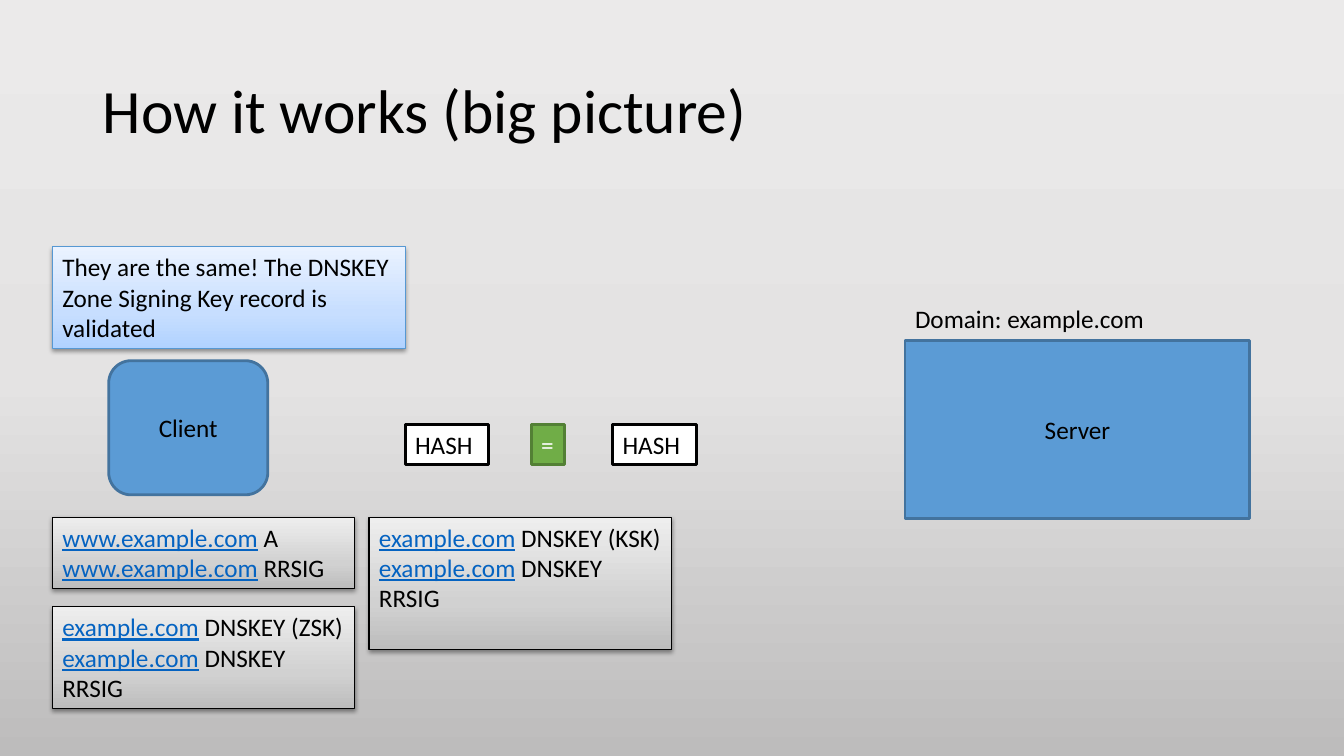
import copy
import pptx
import pptx.dml.color
import pptx.enum.shapes
import pptx.enum.text
import pptx.oxml
import pptx.oxml.ns
import pptx.util

Cm = pptx.util.Cm
Pt = pptx.util.Pt
SHAPE = pptx.enum.shapes.MSO_SHAPE
ALIGN = pptx.enum.text.PP_ALIGN
ANCHOR = pptx.enum.text.MSO_ANCHOR

SHADOW = (
    '<a:outerShdw xmlns:a="http://schemas.openxmlformats.org/drawingml/2006/main" '
    'blurRad="40000" dist="20000" dir="5400000" rotWithShape="0">'
    '<a:srgbClr val="000000"><a:alpha val="38000"/></a:srgbClr></a:outerShdw>'
)
GREY = ("EEEEEE", "D1D1D1", "BDBDBD")
BLUE = ("EAF2FF", "C7DEFF", "B0D2FF")


def paint(fill, *colours, middle=0.65):
    if len(colours) == 1:
        fill.solid()
        fill.fore_color.rgb = pptx.dml.color.RGBColor.from_string(colours[0])
        return
    fill.gradient()
    fill.gradient_angle = 270
    stops = fill._xPr.find(".//" + pptx.oxml.ns.qn("a:gsLst"))
    stops.append(copy.deepcopy(stops[-1]))
    for stop, position, colour in zip(fill.gradient_stops, (0, middle, 1), colours):
        stop.position = position
        stop.color.rgb = pptx.dml.color.RGBColor.from_string(colour)


def add_box(text, x, y, w, h, *, shape=SHAPE.RECTANGLE, fill=None, line=None,
            line_width=2, size=18, colour="000000", align=ALIGN.LEFT,
            anchor=ANCHOR.TOP, spacing=1.0, host=None):
    place = Cm(x), Cm(y), Cm(w), Cm(h)
    if fill:
        sp = slide.shapes.add_shape(shape, *place)
        sp.shadow.inherit = False
        paint(sp.fill, *fill)
        paint(sp.line.fill, line)
        sp.line.width = Pt(line_width)
        if len(fill) > 1:
            effects = sp._element.spPr.find(pptx.oxml.ns.qn("a:effectLst"))
            effects.append(pptx.oxml.parse_xml(SHADOW))
    else:
        sp = slide.shapes.add_textbox(*place)
    tf = sp.text_frame
    tf.word_wrap = True
    tf.vertical_anchor = anchor
    for i, words in enumerate(text.split("\n")):
        p = tf.add_paragraph() if i else tf.paragraphs[0]
        p.alignment = align
        p.line_spacing = spacing
        runs = [(host, "0563C1", True)] if host else []
        for content, run_colour, underline in runs + [(words, colour, False)]:
            r = p.add_run()
            r.text = content
            r.font.name = "Calibri"
            r.font.size = Pt(size)
            r.font.underline = underline
            paint(r.font.fill, run_colour)


prs = pptx.Presentation()
prs.slide_width = Cm(33.87)
prs.slide_height = Cm(19.05)
slide = prs.slides.add_slide(prs.slide_layouts[6])
paint(slide.background.fill, "EBEAEA", "E4E3E3", "BDBCBC", middle=0.5)

add_box("How it works (big picture)", 2.34, 1.02, 29.21, 3.68,
        size=44, anchor=ANCHOR.MIDDLE, spacing=0.9)

for name, shape, x, y, w, h in (
    ("Client", SHAPE.ROUNDED_RECTANGLE, 2.74, 9.09, 4.01, 3.38),
    ("Server", SHAPE.RECTANGLE, 22.81, 8.59, 8.69, 4.47),
):
    add_box(name, x, y, w, h, shape=shape, fill=["5B9BD5"], line="43739E",
            align=ALIGN.CENTER, anchor=ANCHOR.MIDDLE)
add_box("Domain: example.com", 22.81, 7.52, 8.41, 1.02)

add_box("They are the same! The DNSKEY Zone Signing Key record is validated",
        1.32, 6.22, 8.89, 2.57, fill=BLUE, line="5698D3", line_width=0.75)

for host, records, x, y, h in (
    ("www.example.com", " A\n RRSIG", 1.32, 13.03, 1.8),
    ("example.com", " DNSKEY (ZSK)\n DNSKEY RRSIG", 1.32, 15.29, 2.57),
    ("example.com", " DNSKEY (KSK)\n DNSKEY RRSIG", 9.3, 13.03, 3.33),
):
    add_box(records, x, y, 7.62, h, host=host, fill=GREY, line="000000", line_width=0.75)

for x in (10.21, 15.44):
    add_box("HASH", x, 10.69, 2.11, 1.02, fill=["FFFFFF"], line="000000")
add_box("=", 13.39, 10.69, 0.84, 1.02, fill=["70AD47"], line="538035", colour="FFFFFF")

prs.save("out.pptx")
